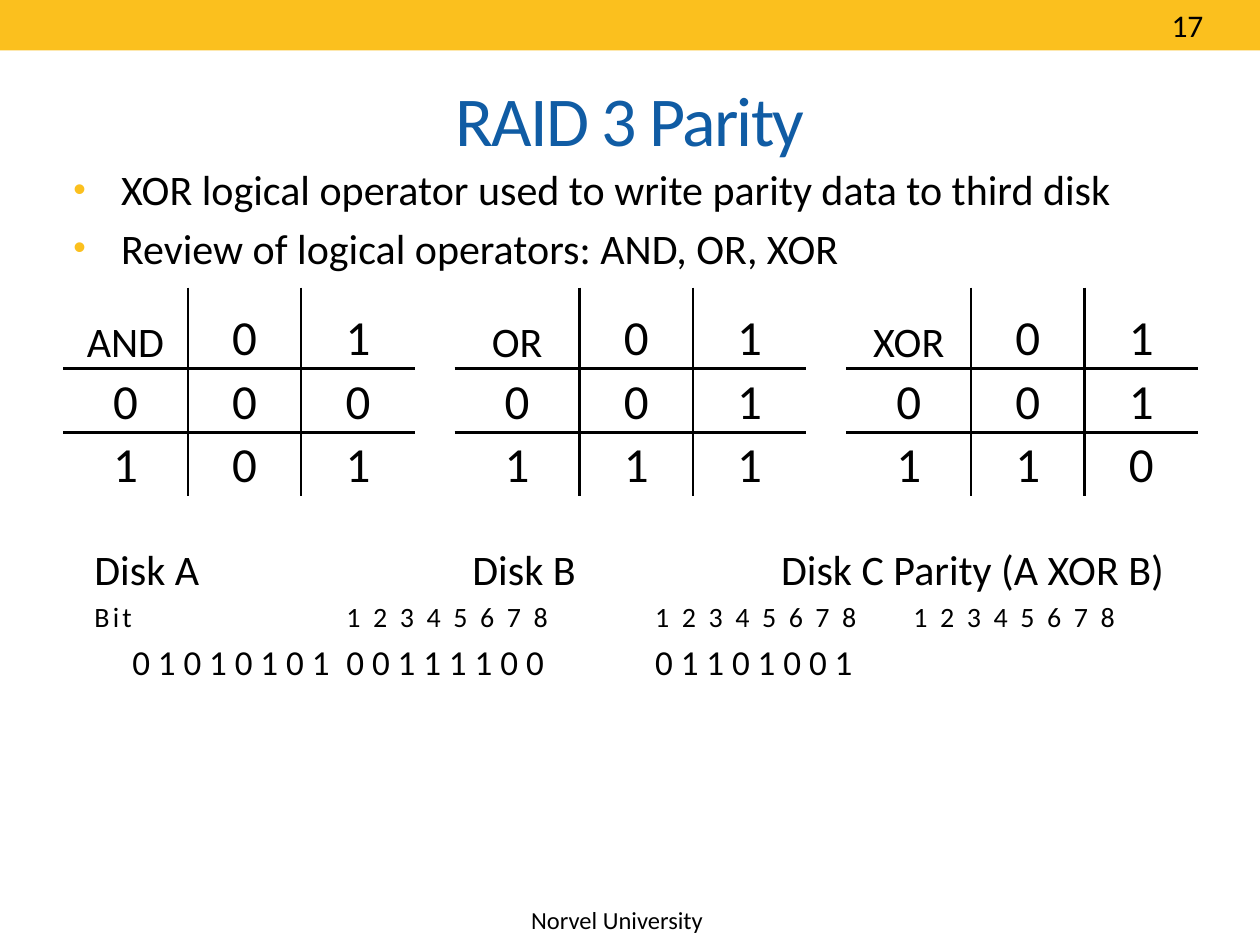
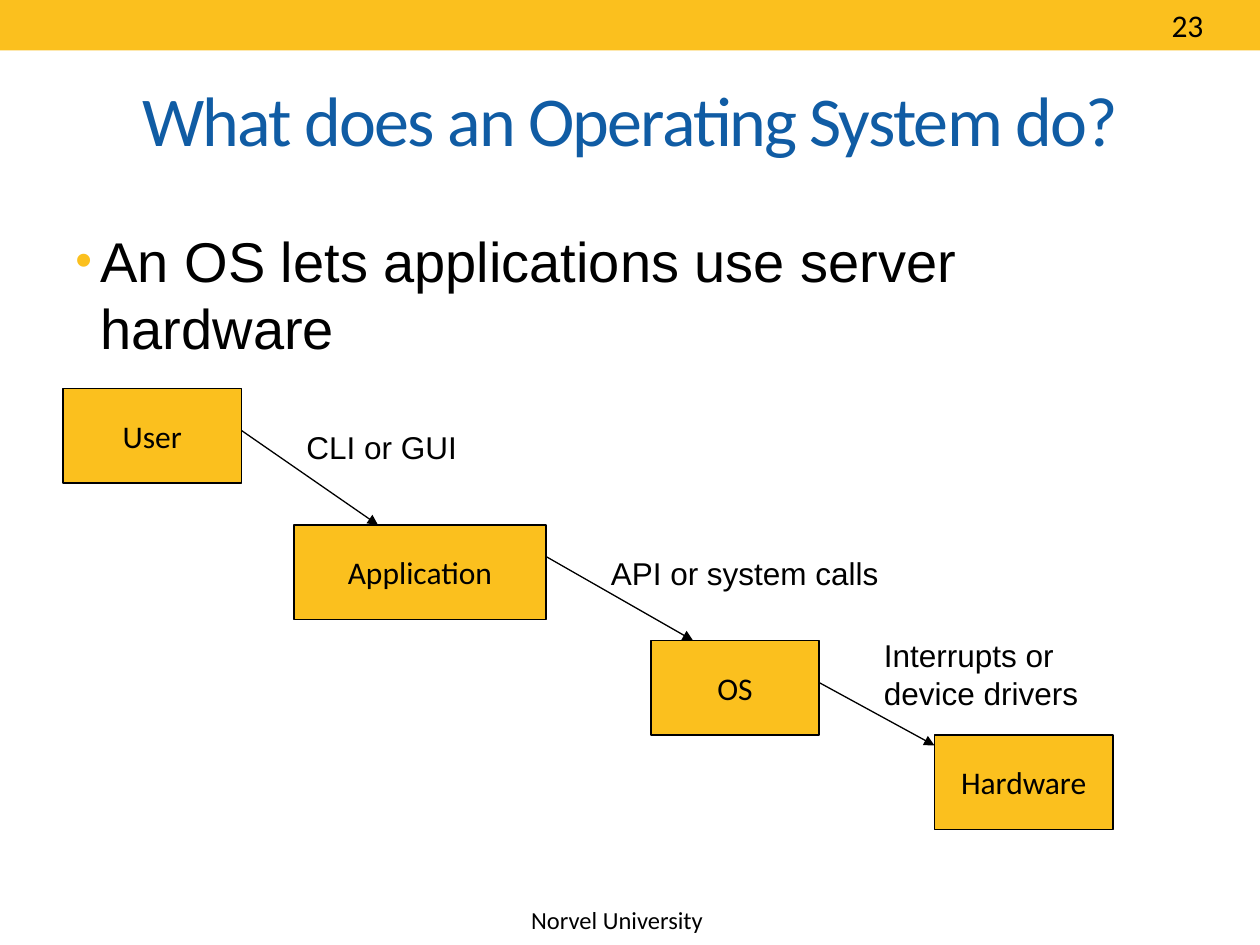
"""Build two lecture slides: RAID 3 parity and the role of an operating system."""
from itertools import product

from lxml import etree
from pptx import Presentation
from pptx.dml.color import RGBColor
from pptx.enum.shapes import MSO_CONNECTOR, MSO_SHAPE
from pptx.enum.text import MSO_ANCHOR, PP_ALIGN
from pptx.oxml import parse_xml
from pptx.oxml.ns import nsdecls, qn
from pptx.util import Inches, Pt

GOLD = RGBColor(0xFB, 0xC0, 0x1E)
BLUE = RGBColor(0x10, 0x5C, 0xA4)
BLACK = RGBColor(0, 0, 0)
LEFT, CENTER = PP_ALIGN.LEFT, PP_ALIGN.CENTER
TOP, MIDDLE, BOTTOM = MSO_ANCHOR.TOP, MSO_ANCHOR.MIDDLE, MSO_ANCHOR.BOTTOM
RECTANGLE, STRAIGHT = MSO_SHAPE.RECTANGLE, MSO_CONNECTOR.STRAIGHT
SANS, PLAIN = "Calibri", "Arial"
COLUMNS, ROWS = 120, 90
PLAIN_TABLE = "{2D5ABB26-0587-4C30-8999-92F81FD0307C}"
FOOTER = "Norvel University"


class Deck:
    """Hold the shared style and the page being drawn."""

    def __init__(self):
        self.deck = Presentation()
        self.deck.slide_width, self.deck.slide_height = Inches(10), Inches(7.5)
        self.page = None

    def place(self, *lengths):
        """Turn alternating column and row counts into slide lengths."""
        units = (self.deck.slide_width / COLUMNS, self.deck.slide_height / ROWS)
        return [round(length * units[index % 2]) for index, length in enumerate(lengths)]

    def add_page(self, title, number):
        """Start a page with its band, footer, title and number."""
        self.page = self.deck.slides.add_slide(self.deck.slide_layouts[6])
        self.rectangle((0, 0, COLUMNS, 4.8))
        self.text((49.4, 85.6, 22, 4), [FOOTER], 14)
        heading = self.text((6, 4.8, 108, 13), [title], 40, color=BLUE, align=CENTER, anchor=MIDDLE)
        self.track(heading.paragraphs[0], -1)
        self.text((110.4, 0, 9.6, 4.4), [str(number)], 18)

    def style(self, para, size, font=SANS, color=BLACK, align=LEFT):
        """Format a paragraph and its runs."""
        para.alignment = align
        for span in para.runs:
            span.font.size, span.font.name = Pt(size), font
            span.font.color.rgb = color

    def text(self, area, lines, size, font=SANS, color=BLACK, align=LEFT, anchor=TOP):
        """Add a text box with one paragraph per line."""
        frame = self.page.shapes.add_textbox(*self.place(*area)).text_frame
        frame.word_wrap, frame.vertical_anchor = True, anchor
        frame.text = "\n".join(lines)
        for index, para in enumerate(frame.paragraphs):
            self.style(para, size, font, color, align)
            if index:
                para.space_before = Pt(size * 0.2)
        return frame

    def bullets(self, area, lines, size, font=SANS, margin=0.53, hang=0.38):
        """Add a text box of gold bullets with a hanging indent."""
        for para in self.text(area, lines, size, font).paragraphs:
            props = para._p.get_or_add_pPr()
            props.set("marL", str(Inches(margin)))
            props.set("indent", str(-Inches(hang)))
            color = etree.SubElement(props, qn("a:buClr"))
            etree.SubElement(color, qn("a:srgbClr"), val=str(GOLD))
            etree.SubElement(props, qn("a:buSzPct"), val="85000")
            etree.SubElement(props, qn("a:buFont"), typeface=PLAIN)
            etree.SubElement(props, qn("a:buChar"), char="•")

    def track(self, para, points):
        """Set the letter spacing of a paragraph."""
        for span in para.runs:
            span.font._element.set("spc", str(round(points * 100)))

    def tab_stops(self, para, stops):
        """Set left tab stops, in inches from the text edge."""
        tabs = etree.SubElement(para._p.get_or_add_pPr(), qn("a:tabLst"))
        for stop in stops:
            etree.SubElement(tabs, qn("a:tab"), pos=str(Inches(stop)), algn="l")

    def rectangle(self, area, label=None):
        """Add a gold rectangle, outlined when it carries a label."""
        box = self.page.shapes.add_shape(RECTANGLE, *self.place(*area))
        box.shadow.inherit = False
        box.fill.solid()
        box.fill.fore_color.rgb = GOLD
        if label is None:
            box.line.fill.background()
            return
        box.line.color.rgb, box.line.width = BLACK, Pt(0.75)
        frame = box.text_frame
        frame.text, frame.word_wrap, frame.vertical_anchor = label, False, MIDDLE
        self.style(frame.paragraphs[0], 18, align=CENTER)

    def arrow(self, start, end):
        """Add a straight arrow between two grid points."""
        line = self.page.shapes.add_connector(STRAIGHT, *self.place(*start, *end))
        line.line.color.rgb, line.line.width = BLACK, Pt(0.75)
        etree.SubElement(line.line._get_or_add_ln(), qn("a:tailEnd"), type="triangle")
        etree.SubElement(line._element.spPr, qn("a:effectLst"))

    def truth_table(self, left, top, operator, results):
        """Add the truth table of a logical operator."""
        widths, heights = (11.9, 10.8, 10.8), (7.7, 6.1, 6)
        area = self.place(left, top, sum(widths), sum(heights))
        table = self.page.shapes.add_table(3, 3, *area).table
        table.first_row = table.horz_banding = False
        table._tbl.tblPr[0].text = PLAIN_TABLE
        for index, (width, height) in enumerate(zip(widths, heights)):
            table.columns[index].width, table.rows[index].height = self.place(width, height)
        rows = ((operator, "0", "1"), ("0", *results[:2]), ("1", *results[2:]))
        for row, column in product(range(3), repeat=2):
            cell = table.cell(row, column)
            cell.text, cell.vertical_anchor = rows[row][column], BOTTOM
            cell.margin_left = cell.margin_right = cell.margin_top = Inches(0.01)
            cell.margin_bottom = 0
            cell.fill.background()
            self.style(cell.text_frame.paragraphs[0], 28 if row or column else 24, align=CENTER)
            edges = (("lnL", column == 1), ("lnR", column == 0), ("lnT", row == 1), ("lnB", row == 0))
            self.borders(cell, [edge for edge, drawn in edges if drawn])

    def borders(self, cell, edges):
        """Draw the named black edges of a cell."""
        for index, edge in enumerate(edges):
            cell._tc.get_or_add_tcPr().insert(index, parse_xml(
                f'<a:{edge} {nsdecls("a")} w="{Pt(1.5)}"><a:solidFill>'
                f'<a:srgbClr val="{BLACK}"/></a:solidFill></a:{edge}>'))


def parity_page(show):
    """Draw the truth tables and the parity example."""
    show.add_page("RAID 3 Parity", 17)
    show.bullets((4, 15, 108, 12), ["XOR logical operator used to write parity data to third disk",
                                    "Review of logical operators: AND, OR, XOR"], 24)
    for index, (operator, results) in enumerate((("AND", "0001"), ("OR", "0111"), ("XOR", "0110"))):
        show.truth_table(6 + 37.3 * index, 27.4, operator, results)
    bits = " ".join("12345678")
    disks = ("01010101", "00111100", "01101001")
    lines = ["Disk A\tDisk B\tDisk C Parity (A XOR B)",
             "Bit\t" + "\t".join([bits] * 3),
             "\t" + "\t".join(" ".join(disk) for disk in disks)]
    frame = show.text((6, 51.2, 108, 20), lines, 24)
    frame.margin_left = Inches(0.25)
    bit_stops = (0.3, 2, 4.45)
    sizes = ((24, (3, 5.45)), (16, bit_stops), (20, bit_stops))
    for para, (size, stops) in zip(frame.paragraphs, sizes):
        show.style(para, size)
        show.tab_stops(para, stops)
    for para, size in zip(frame.paragraphs[1:], (16, 20)):
        para.space_before = Pt(size * 0.2)
    show.track(frame.paragraphs[1], 1.8)


def system_page(show):
    """Draw the chain from user to hardware."""
    show.add_page("What does an Operating System do?", 23)
    show.bullets((6, 21, 108, 15), ["An OS lets applications use server hardware"],
                 32, PLAIN, 0.2, 0.2)
    for left, top, width, label in ((6, 37, 17, "User"), (28, 50, 24, "Application"),
                                    (62, 61, 16, "OS"), (89, 70, 17, "Hardware")):
        show.rectangle((left, top, width, 9), label)
    for start, end in (((23, 41), (36, 50)), ((52, 53), (66, 61)), ((78, 65), (89, 71))):
        show.arrow(start, end)
    for left, top, width, label in ((28, 40.2, 17, "CLI or GUI"),
                                    (57, 52.2, 29, "API or system calls"),
                                    (83, 60, 29, "Interrupts or\vdevice drivers")):
        show.text((left, top, width, 4.8), [label], 18, PLAIN)


def main():
    """Build and save the deck."""
    show = Deck()
    parity_page(show)
    system_page(show)
    show.deck.save("out.pptx")


if __name__ == "__main__":
    main()
